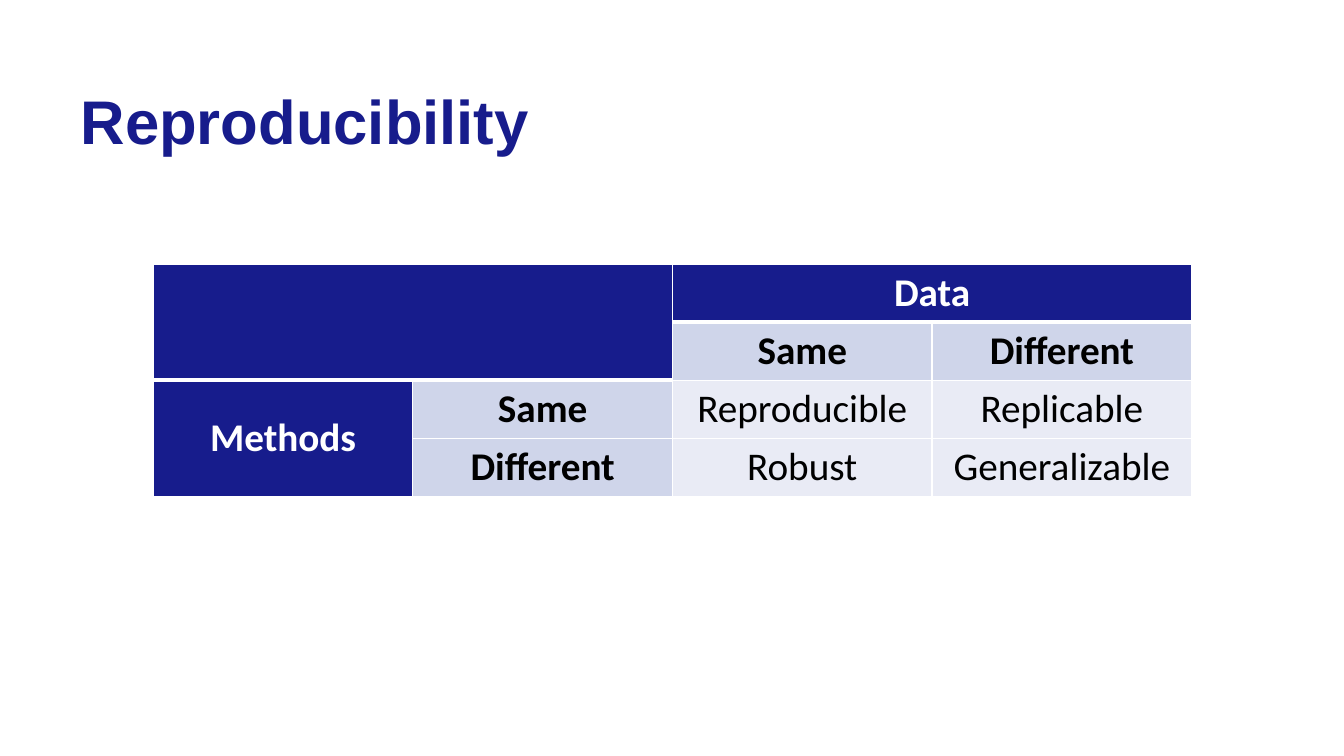
from dataclasses import dataclass

from lxml.etree import SubElement
from pptx import Presentation
from pptx.dml.color import RGBColor
from pptx.enum.text import MSO_ANCHOR, PP_ALIGN
from pptx.oxml.ns import qn
from pptx.slide import Slide
from pptx.table import Table, _Cell
from pptx.text.text import _Paragraph
from pptx.util import Inches, Pt

NAVY, LAVENDER, PALE = "171C8C", "CFD5EA", "E9EBF5"
WHITE, BLACK = "FFFFFF", "000000"
COLUMN_WIDTH, ROW_HEIGHT = 2.575, 0.57


@dataclass(frozen=True)
class Entry:
    row: int
    column: int
    label: str
    fill: str
    color: str = BLACK
    bold: bool = True
    rows: int = 1
    columns: int = 1
    top: int = 1
    bottom: int = 1


ENTRIES = [
    Entry(0, 0, "", NAVY, rows=2, columns=2, bottom=3),
    Entry(0, 2, "Data", NAVY, WHITE, columns=2, bottom=3),
    Entry(1, 2, "Same", LAVENDER, top=3),
    Entry(1, 3, "Different", LAVENDER, top=3),
    Entry(2, 0, "Methods", NAVY, WHITE, rows=2, top=3),
    Entry(2, 1, "Same", LAVENDER, top=3),
    Entry(3, 1, "Different", LAVENDER),
    Entry(2, 2, "Reproducible", PALE, bold=False),
    Entry(2, 3, "Replicable", PALE, bold=False),
    Entry(3, 2, "Robust", PALE, bold=False),
    Entry(3, 3, "Generalizable", PALE, bold=False),
]


def rgb(value: str) -> RGBColor:
    return RGBColor.from_string(value)


def format_text(paragraph: _Paragraph, color: str, **formats) -> None:
    for attribute, value in formats.items():
        setattr(paragraph.font, attribute, value)
    paragraph.font.color.rgb = rgb(color)


def draw_borders(cell: _Cell, top: int, bottom: int) -> None:
    properties = cell._tc.get_or_add_tcPr()
    for side, points in {"L": 1, "R": 1, "T": top, "B": bottom}.items():
        border = SubElement(properties, qn(f"a:ln{side}"), w=str(Pt(points)))
        paint = SubElement(border, qn("a:solidFill"))
        SubElement(paint, qn("a:srgbClr"), val=WHITE)


def draw_entry(table: Table, entry: Entry) -> None:
    cell = table.cell(entry.row, entry.column)
    if entry.rows * entry.columns > 1:
        cell.merge(table.cell(entry.row + entry.rows - 1,
                              entry.column + entry.columns - 1))
    draw_borders(cell, entry.top, entry.bottom)
    cell.fill.solid()
    cell.fill.fore_color.rgb = rgb(entry.fill)
    if entry.label:
        cell.text = entry.label
        cell.vertical_anchor = MSO_ANCHOR.MIDDLE if entry.rows > 1 else MSO_ANCHOR.TOP
        paragraph = cell.text_frame.paragraphs[0]
        paragraph.alignment = PP_ALIGN.CENTER
        format_text(paragraph, entry.color, name="Calibri", size=Pt(28), bold=entry.bold)


def draw_title(slide: Slide, wording: str) -> None:
    title = slide.shapes.title
    place = {"left": 0.7, "top": 0.51, "width": 11.5, "height": 1.45}
    for attribute, length in place.items():
        setattr(title, attribute, Inches(length))
    title.text_frame.text = wording
    title.text_frame.vertical_anchor = MSO_ANCHOR.MIDDLE
    paragraph = title.text_frame.paragraphs[0]
    paragraph.alignment = PP_ALIGN.LEFT
    paragraph.line_spacing = 0.9
    format_text(paragraph, NAVY, name="Arial", size=Pt(44), bold=True)


def draw_matrix(slide: Slide) -> None:
    matrix = slide.shapes.add_table(
        4, 4, Inches(1.52), Inches(2.62),
        Inches(4 * COLUMN_WIDTH), Inches(4 * ROW_HEIGHT)).table
    for entry in ENTRIES:
        draw_entry(matrix, entry)


def main() -> None:
    presentation = Presentation()
    presentation.slide_width = Inches(13.33)
    presentation.slide_height = Inches(7.5)
    slide = presentation.slides.add_slide(presentation.slide_layouts[5])
    draw_title(slide, "Reproducibility")
    draw_matrix(slide)
    presentation.save("out.pptx")


if __name__ == "__main__":
    main()
